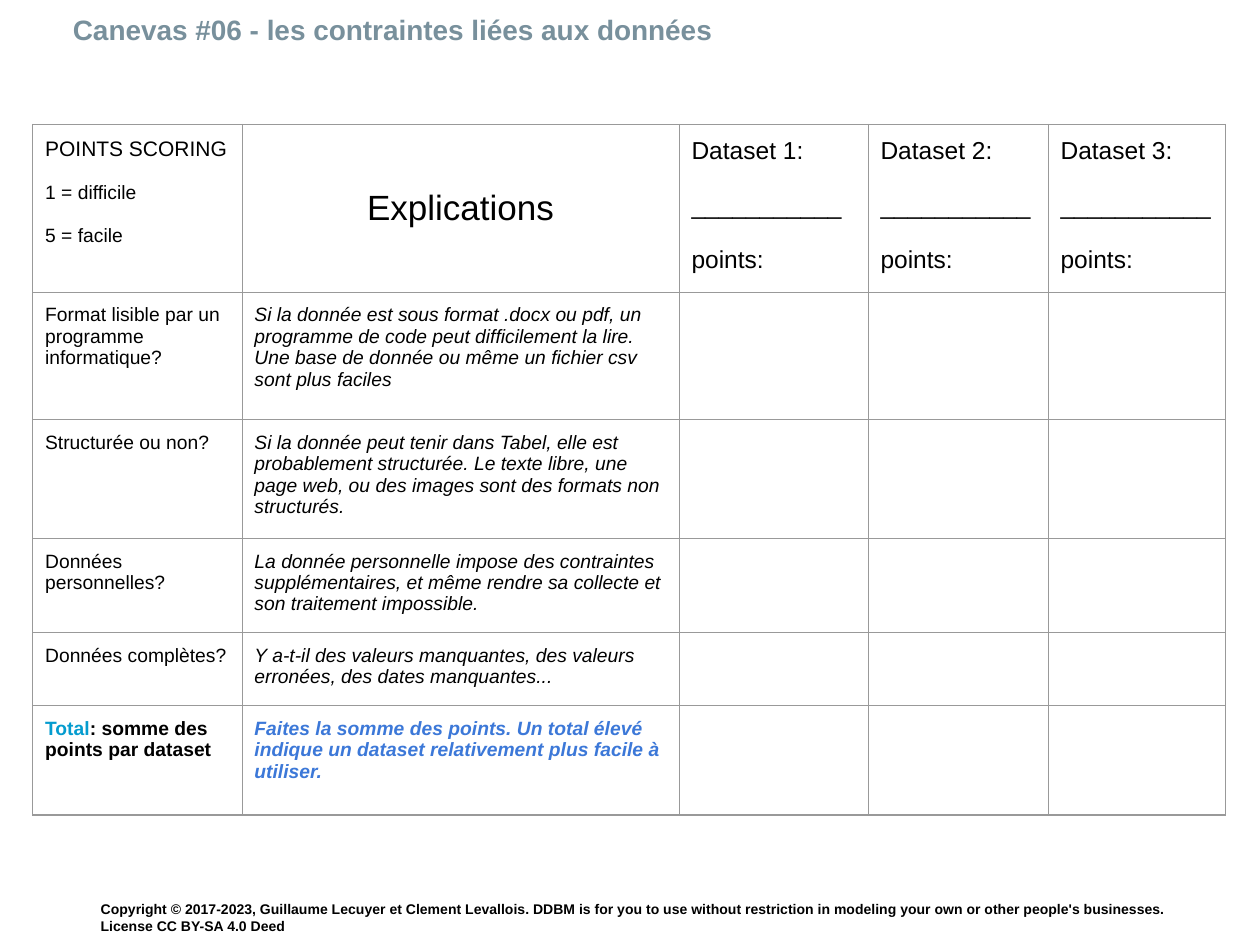
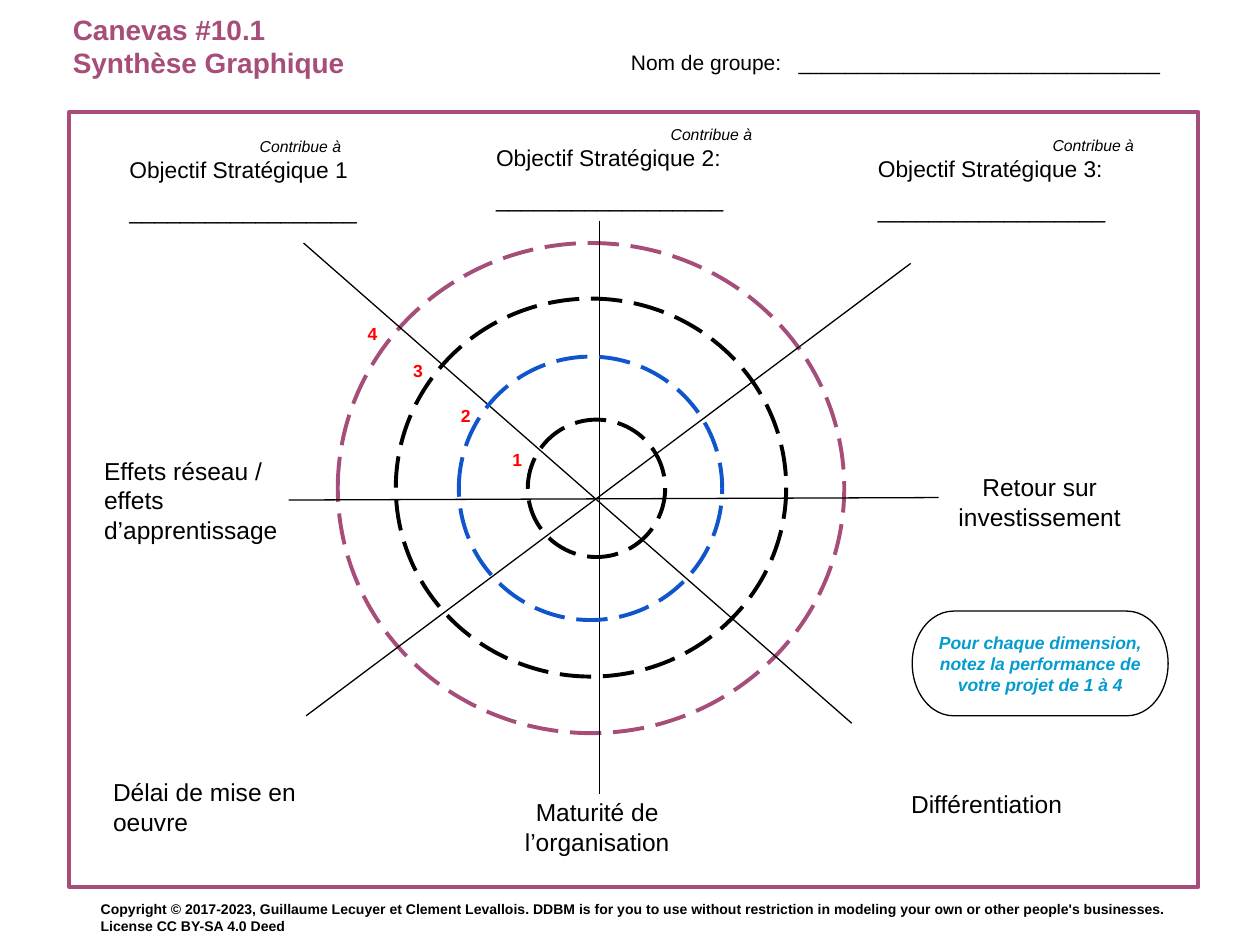
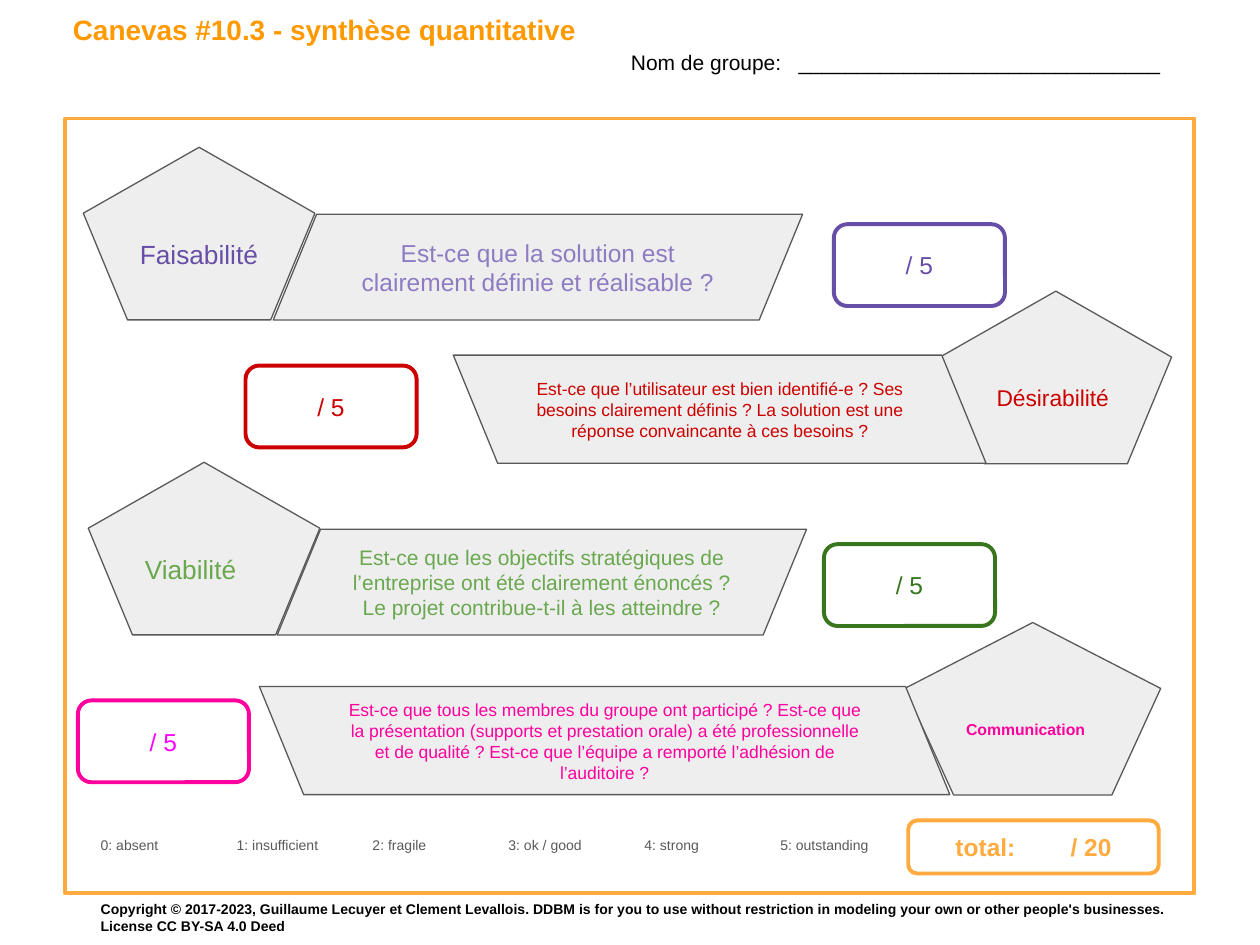
from dataclasses import dataclass
from typing import Any, Optional

from lxml import etree
from pptx import Presentation
from pptx.dml.color import RGBColor
from pptx.enum.dml import MSO_LINE
from pptx.enum.shapes import MSO_CONNECTOR, MSO_SHAPE
from pptx.enum.text import MSO_ANCHOR, PP_ALIGN
from pptx.oxml.ns import qn
from pptx.util import Cm, Pt

LEFT, CENTER, RIGHT = PP_ALIGN.LEFT, PP_ALIGN.CENTER, PP_ALIGN.RIGHT
TOP, MIDDLE = MSO_ANCHOR.TOP, MSO_ANCHOR.MIDDLE
LONG_DASH = MSO_LINE.LONG_DASH
STRAIGHT = MSO_CONNECTOR.STRAIGHT
RECTANGLE, ROUNDED = MSO_SHAPE.RECTANGLE, MSO_SHAPE.ROUNDED_RECTANGLE
OVAL, TERMINATOR = MSO_SHAPE.OVAL, MSO_SHAPE.FLOWCHART_TERMINATOR
PENTAGON, PARALLELOGRAM = MSO_SHAPE.REGULAR_PENTAGON, MSO_SHAPE.PARALLELOGRAM

FONT = "Arial"
INSET = 0.25
LINE_SPACING = 1.0
THIN, THICK = 0.75, 2.25
BLACK, RED, TEAL = "000000", "FF0000", "049CCF"
SLATE, PLUM, ORANGE, AMBER = "78909C", "A64D79", "FF9900", "FFAB40"
LIGHT_GRAY, DARK_GRAY, BORDER_GRAY = "EEEEEE", "595959", "999999"
BLUE, SKY = "1155CC", "3C78D8"
PURPLE, LILAC, CRIMSON = "674EA7", "8E7CC3", "CC0000"
GREEN, DARK_GREEN, PINK, MAGENTA = "6AA84F", "38761D", "FF009E", "FF00FF"

COPYRIGHT = (
    "Copyright © 2017-2023, Guillaume Lecuyer et Clement Levallois. DDBM is for you to use "
    "without restriction in modeling your own or other people's businesses. "
    "License CC BY-SA 4.0 Deed"
)


@dataclass(frozen=True)
class Box:
    left: float
    top: float
    width: float
    height: float

    def lengths(self) -> tuple[Cm, Cm, Cm, Cm]:
        return Cm(self.left), Cm(self.top), Cm(self.width), Cm(self.height)


@dataclass(frozen=True)
class Run:
    text: str
    size: float
    color: str = BLACK
    bold: bool = False
    italic: bool = False


@dataclass(frozen=True)
class Line:
    runs: tuple[Run, ...]
    align: Any = LEFT
    before: float = 0
    tab: Optional[float] = None


@dataclass(frozen=True)
class Outline:
    color: str
    width: float
    dash: Any = None


@dataclass(frozen=True)
class Ring:
    box: Box
    color: str


@dataclass(frozen=True)
class Axis:
    start: tuple[float, float]
    end: tuple[float, float]


@dataclass(frozen=True)
class Label:
    box: Box
    text: str
    align: Any


@dataclass(frozen=True)
class Criterion:
    pentagon: Box
    name: Run
    banner: Box
    question: Run
    mirrored: bool
    score_left: float
    score_top: float
    score_color: str
    score_text_color: str


FRAME_WIDTH, FRAME_HEIGHT = 22.76, 15.62
FOOTER_BOX = Box(1.78, 18.11, FRAME_WIDTH, 0.76)
GROUP_NAME_BOX = Box(12.47, 0.74, 11.28, 1.14)

TABLE_LEFT, TABLE_TOP = 0.66, 2.51
COLUMN_WIDTHS = (4.22, 8.81, 3.81, 3.63, 3.58)
ROW_HEIGHTS = (3.27, 2.57, 2.39, 1.78, 1.47, 2.21)
CONSTRAINTS = (
    ("Format lisible par un programme informatique?",
     "Si la donnée est sous format .docx ou pdf, un programme de code peut difficilement la lire. "
     "Une base de donnée ou même un fichier csv sont plus faciles"),
    ("Structurée ou non?",
     "Si la donnée peut tenir dans Tabel, elle est probablement structurée. Le texte libre, une "
     "page web, ou des images sont des formats non structurés."),
    ("Données personnelles?",
     "La donnée personnelle impose des contraintes supplémentaires, et même rendre sa collecte et "
     "son traitement impossible."),
    ("Données complètes?",
     "Y a-t-il des valeurs manquantes, des valeurs erronées, des dates manquantes..."),
)

OUTER_RINGS = (
    Ring(Box(7.98, 6.02, 7.87, 7.62), BLACK),
    Ring(Box(6.81, 4.9, 10.21, 9.88), PLUM),
)
INNER_RINGS = (
    Ring(Box(10.64, 8.46, 2.77, 2.77), BLACK),
    Ring(Box(9.25, 7.19, 5.31, 5.31), BLUE),
)
AXES = (
    Axis((12.09, 4.45), (12.09, 16)),
    Axis((5.82, 10.08), (18.92, 10.03)),
    Axis((6.12, 4.9), (17.17, 14.58)),
    Axis((18.36, 5.31), (6.17, 14.43)),
)
OBJECTIVES = (
    Label(Box(2.36, 2.51, 7.39, 2.77), "Objectif Stratégique 1", CENTER),
    Label(Box(9.75, 2.26, 5.66, 2.11), "Objectif Stratégique 2:", RIGHT),
    Label(Box(17.45, 2.49, 5.66, 2.11), "Objectif Stratégique 3:", RIGHT),
)
DIMENSIONS = (
    Label(Box(18.8, 9.27, 4.32, 1.65), "Retour sur investissement", CENTER),
    Label(Box(17.73, 15.65, 4.32, 1.14), "Différentiation", CENTER),
    Label(Box(9.88, 15.82, 4.32, 1.55), "Maturité de l’organisation", CENTER),
    Label(Box(2.03, 15.42, 4.32, 1.65), "Délai de mise en oeuvre", LEFT),
    Label(Box(1.85, 8.94, 4.32, 2.29), "Effets réseau / effets d’apprentissage", LEFT),
)
LEVEL_CORNERS = ((10.08, 8.84), (9.04, 7.95), (8.08, 7.04), (7.16, 6.3))
LEVEL_SIZE = 0.89

CRITERIA = (
    Criterion(
        Box(1.68, 2.97, 4.67, 3.48), Run("Faisabilité", 15, PURPLE),
        Box(5.51, 4.32, 10.67, 2.13),
        Run("Est-ce que la solution est clairement définie et réalisable ?", 14, LILAC),
        False, 16.81, 4.52, PURPLE, PURPLE),
    Criterion(
        Box(18.95, 5.87, 4.67, 3.48), Run("Désirabilité", 13, CRIMSON),
        Box(9.14, 7.16, 10.74, 2.18),
        Run("Est-ce que l’utilisateur est bien identifié-e ? Ses besoins clairement définis ? "
            "La solution est une réponse convaincante à ces besoins ?", 10, CRIMSON),
        True, 4.95, 7.37, CRIMSON, CRIMSON),
    Criterion(
        Box(1.78, 9.32, 4.67, 3.48), Run("Viabilité", 15, GREEN),
        Box(5.59, 10.67, 10.67, 2.13),
        Run("Est-ce que les objectifs stratégiques de l’entreprise ont été clairement énoncés ? "
            "Le projet contribue-t-il à les atteindre ?", 12, GREEN),
        False, 16.61, 10.97, DARK_GREEN, DARK_GREEN),
    Criterion(
        Box(18.24, 12.55, 5.16, 3.48), Run("Communication", 9, PINK, bold=True),
        Box(5.23, 13.84, 13.92, 2.18),
        Run("Est-ce que tous les membres du groupe ont participé ? Est-ce que la présentation "
            "(supports et prestation orale) a été professionnelle et de qualité ? Est-ce que "
            "l’équipe a remporté l’adhésion de l’auditoire ?", 10, PINK),
        True, 1.57, 14.12, PINK, MAGENTA),
)
GRADES = ("0: absent", "1: insufficient", "2: fragile", "3: ok / good", "4: strong",
          "5: outstanding")
GRADE_LEFT, GRADE_STEP = 1.78, 2.74


def rgb(color: str) -> RGBColor:
    return RGBColor.from_string(color)


def write(frame: Any, lines: tuple[Line, ...]) -> None:
    for index, line in enumerate(lines):
        paragraph = frame.add_paragraph() if index else frame.paragraphs[0]
        paragraph.alignment = line.align
        paragraph.line_spacing = LINE_SPACING
        paragraph.space_before = Pt(line.before)
        if line.tab is not None:
            properties = paragraph._p.get_or_add_pPr()
            tabs = etree.SubElement(properties, qn("a:tabLst"))
            etree.SubElement(tabs, qn("a:tab"), pos=str(Cm(line.tab)), algn="l")
        for item in line.runs:
            run = paragraph.add_run()
            run.text = item.text
            run.font.name = FONT
            run.font.size = Pt(item.size)
            run.font.bold = item.bold
            run.font.italic = item.italic
            run.font.color.rgb = rgb(item.color)


def set_insets(holder: Any, left: float = INSET) -> None:
    holder.margin_left = Cm(left)
    holder.margin_right = holder.margin_top = holder.margin_bottom = Cm(INSET)


def add_text(slide: Any, box: Box, *lines: Line, anchor: Any = TOP) -> None:
    frame = slide.shapes.add_textbox(*box.lengths()).text_frame
    frame.word_wrap = True
    frame.vertical_anchor = anchor
    set_insets(frame)
    write(frame, lines)


def add_outlined(shapes: Any, kind: Any, box: Box, outline: Outline, *lines: Line,
                 fill: Optional[str] = None, left_inset: float = INSET) -> Any:
    shape = shapes.add_shape(kind, *box.lengths())
    shape.shadow.inherit = False
    if fill:
        shape.fill.solid()
        shape.fill.fore_color.rgb = rgb(fill)
    else:
        shape.fill.background()
    shape.line.color.rgb = rgb(outline.color)
    shape.line.width = Pt(outline.width)
    if outline.dash is not None:
        shape.line.dash_style = outline.dash
    frame = shape.text_frame
    frame.word_wrap = True
    frame.vertical_anchor = MIDDLE
    set_insets(frame, left_inset)
    write(frame, lines)
    return shape


def add_axis(slide: Any, axis: Axis) -> None:
    ends = [Cm(value) for value in (*axis.start, *axis.end)]
    connector = slide.shapes.add_connector(STRAIGHT, *ends)
    connector.line.color.rgb = rgb(BLACK)
    connector.line.width = Pt(THIN)
    etree.SubElement(connector.element.spPr, qn("a:effectLst"))


def add_title(slide: Any, color: str, width: float, *titles: str) -> None:
    lines = [Line((Run(title, 16, color, bold=True),)) for title in titles]
    add_text(slide, Box(1.22, 0, width, 1.65), *lines)


def add_footer(slide: Any) -> None:
    add_text(slide, FOOTER_BOX, Line((Run(COPYRIGHT, 8, bold=True),)), anchor=MIDDLE)


def add_group_name(slide: Any) -> None:
    add_text(slide, GROUP_NAME_BOX,
             Line((Run("Nom de groupe:\t" + "_" * 31, 12),), tab=3.38))


def add_frame(slide: Any, left: float, top: float, color: str) -> None:
    add_outlined(slide.shapes, RECTANGLE, Box(left, top, FRAME_WIDTH, FRAME_HEIGHT),
                 Outline(color, THICK))


def style_cell(cell: Any) -> None:
    set_insets(cell)
    properties = cell._tc.get_or_add_tcPr()
    for side in ("a:lnL", "a:lnR", "a:lnT", "a:lnB"):
        border = etree.SubElement(properties, qn(side), w=str(Pt(THIN)))
        fill = etree.SubElement(border, qn("a:solidFill"))
        etree.SubElement(fill, qn("a:srgbClr"), val=BORDER_GRAY)
    cell.fill.background()


def constraint_rows() -> list[list[tuple[Line, ...]]]:
    scoring = (
        Line((Run("POINTS SCORING", 12),)),
        Line((Run("1 = difficile", 11),), before=12.3),
        Line((Run("5 = facile", 11),), before=12.3),
    )
    datasets = [
        (Line((Run(f"Dataset {number}:", 14),)),
         Line((Run("_" * 11, 14),), before=15.6),
         Line((Run("points:", 14),), before=15.6))
        for number in (1, 2, 3)
    ]
    header = [scoring, (Line((Run("Explications", 20),), CENTER),), *datasets]
    body = [
        [(Line((Run(question, 11),)),), (Line((Run(explanation, 11, italic=True),)),)]
        for question, explanation in CONSTRAINTS
    ]
    total = [
        (Line((Run("Total", 11, TEAL, bold=True),
               Run(": somme des points par dataset", 11, bold=True))),),
        (Line((Run("Faites la somme des points. Un total élevé indique un dataset relativement "
                   "plus facile à utiliser.", 11, SKY, bold=True, italic=True),)),),
    ]
    return [header, *body, total]


def build_constraints(slide: Any) -> None:
    add_title(slide, SLATE, 16.92, "Canevas #06 - les contraintes liées aux données")
    box = Box(TABLE_LEFT, TABLE_TOP, sum(COLUMN_WIDTHS), sum(ROW_HEIGHTS))
    table = slide.shapes.add_table(len(ROW_HEIGHTS), len(COLUMN_WIDTHS), *box.lengths()).table
    table.first_row = table.horz_banding = False
    for column, width in zip(table.columns, COLUMN_WIDTHS):
        column.width = Cm(width)
    for row, height in zip(table.rows, ROW_HEIGHTS):
        row.height = Cm(height)
    for cell in table.iter_cells():
        style_cell(cell)
    for row, contents in zip(table.rows, constraint_rows()):
        for cell, lines in zip(row.cells, contents):
            write(cell.text_frame, lines)
    table.cell(0, 1).vertical_anchor = MIDDLE
    add_footer(slide)


def add_rings(slide: Any, rings: tuple[Ring, ...]) -> None:
    for ring in rings:
        add_outlined(slide.shapes, OVAL, ring.box, Outline(ring.color, THICK, LONG_DASH))


def build_radar(slide: Any) -> None:
    add_frame(slide, 1.4, 2.26, PLUM)
    add_rings(slide, OUTER_RINGS)
    add_title(slide, PLUM, 10.8, "Canevas #10.1", "Synthèse Graphique")
    for axis in AXES:
        add_axis(slide, axis)
    add_rings(slide, INNER_RINGS)
    for objective in OBJECTIVES:
        add_text(slide, objective.box,
                 Line((Run("Contribue à", 9, italic=True),), objective.align),
                 Line((Run(objective.text, 13),)),
                 Line((Run("_" * 18, 13),), before=8))
    for dimension in DIMENSIONS:
        add_text(slide, dimension.box, Line((Run(dimension.text, 14),), dimension.align))
    for level, (left, top) in enumerate(LEVEL_CORNERS, start=1):
        add_text(slide, Box(left, top, LEVEL_SIZE, LEVEL_SIZE),
                 Line((Run(str(level), 10, RED, bold=True),)))
    instruction = Run("Pour chaque dimension, notez la performance de votre projet de 1 à 4",
                      10, TEAL, bold=True, italic=True)
    add_outlined(slide.shapes, TERMINATOR, Box(18.39, 12.32, 5.16, 2.11), Outline(BLACK, THIN),
                 Line((instruction,), CENTER))
    add_footer(slide)
    add_group_name(slide)


def add_criterion(slide: Any, criterion: Criterion) -> None:
    members = slide.shapes.add_group_shape().shapes
    outline = Outline(DARK_GRAY, THIN)
    add_outlined(members, PENTAGON, criterion.pentagon, outline, Line((criterion.name,)),
                 fill=LIGHT_GRAY)
    banner = add_outlined(members, PARALLELOGRAM, criterion.banner, outline,
                          Line((criterion.question,), CENTER), fill=LIGHT_GRAY)
    banner.adjustments[0] = 0.41
    if criterion.mirrored:
        banner.element.spPr.get_or_add_xfrm().set("flipH", "1")
    add_outlined(slide.shapes, ROUNDED, Box(criterion.score_left, criterion.score_top, 3.45, 1.65),
                 Outline(criterion.score_color, THICK),
                 Line((Run("/ 5", 14, criterion.score_text_color),), CENTER))


def build_scores(slide: Any) -> None:
    add_frame(slide, 1.32, 2.39, AMBER)
    add_title(slide, ORANGE, 11.84, "Canevas #10.3 - synthèse quantitative")
    add_footer(slide)
    add_group_name(slide)
    for criterion in CRITERIA:
        add_criterion(slide, criterion)
    add_outlined(slide.shapes, ROUNDED, Box(18.31, 16.54, 5.05, 1.07), Outline(AMBER, THICK),
                 Line((Run("total:\t/ 20", 14, AMBER, bold=True),), tab=2.32), left_inset=0.9)
    for index, grade in enumerate(GRADES):
        add_text(slide, Box(GRADE_LEFT + index * GRADE_STEP, 16.69, 2.51, 0.76),
                 Line((Run(grade, 8, DARK_GRAY),)))


def main() -> None:
    presentation = Presentation()
    presentation.slide_width, presentation.slide_height = Cm(25.4), Cm(19.05)
    blank = presentation.slide_layouts[6]
    for build in (build_constraints, build_radar, build_scores):
        build(presentation.slides.add_slide(blank))
    presentation.save("out.pptx")


if __name__ == "__main__":
    main()
